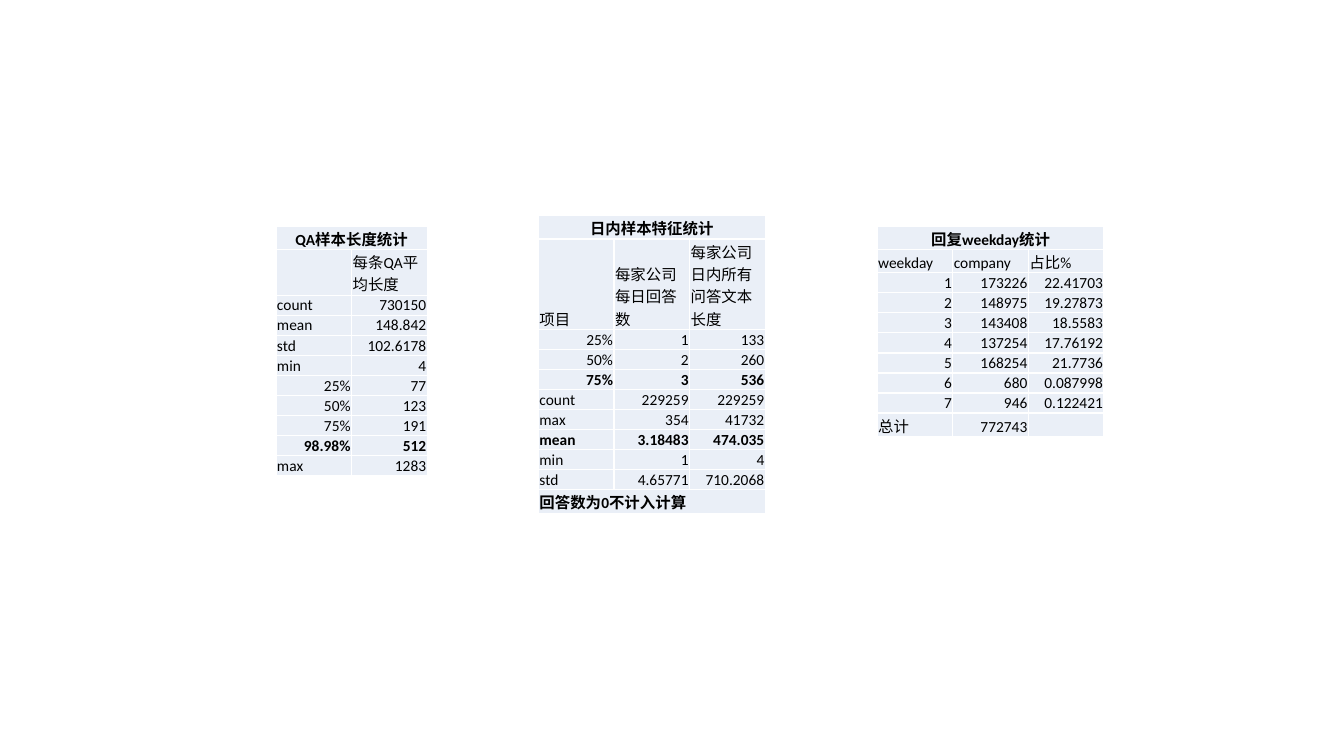
import dataclasses

import lxml.etree
import pptx
import pptx.dml.color
import pptx.enum.text
import pptx.oxml.ns
import pptx.table
import pptx.util

qn = pptx.oxml.ns.qn
Align = pptx.enum.text.PP_ALIGN
BLACK = pptx.dml.color.RGBColor(0x00, 0x00, 0x00)
WHITE = pptx.dml.color.RGBColor(0xFF, 0xFF, 0xFF)
PALE = pptx.dml.color.RGBColor(0xEA, 0xEF, 0xF7)

# Grid units
COL = pptx.util.Inches(0.75)
ROW = pptx.util.Inches(0.19)
INSET = pptx.util.Inches(0.01)
SIZE = pptx.util.Pt(11)
EDGE = pptx.util.Pt(1)

CELL = {
    "vertical_anchor": pptx.enum.text.MSO_ANCHOR.BOTTOM,
    "margin_left": INSET,
    "margin_right": INSET,
    "margin_top": INSET,
    "margin_bottom": 0,
}
FONT = {"size": SIZE, "name": "Calibri"}


@dataclasses.dataclass
class Stats:
    """A table of figures; left in grid columns, top in grid rows."""
    left: float
    top: float
    title: str
    head: tuple[str, ...]
    rows: list[tuple[str, ...]]
    bold: tuple[str, ...] = ()
    note: str = ""


TABLES = [
    Stats(3.65, 11.8, "QA样本长度统计", ("", "每条QA平均长度"), [
        ("count", "730150"),
        ("mean", "148.842"),
        ("std", "102.6178"),
        ("min", "4"),
        ("25%", "77"),
        ("50%", "123"),
        ("75%", "191"),
        ("98.98%", "512"),
        ("max", "1283"),
    ], bold=("98.98%",)),
    Stats(7.12, 11.26, "日内样本特征统计",
          ("项目", "每家公司每日回答数", "每家公司日内所有问答文本长度"), [
        ("25%", "1", "133"),
        ("50%", "2", "260"),
        ("75%", "3", "536"),
        ("count", "229259", "229259"),
        ("max", "354", "41732"),
        ("mean", "3.18483", "474.035"),
        ("min", "1", "4"),
        ("std", "4.65771", "710.2068"),
    ], bold=("75%", "mean"), note="回答数为0不计入计算"),
    Stats(11.6, 11.8, "回复weekday统计", ("weekday", "company", "占比%"), [
        ("1", "173226", "22.41703"),
        ("2", "148975", "19.27873"),
        ("3", "143408", "18.5583"),
        ("4", "137254", "17.76192"),
        ("5", "168254", "21.7736"),
        ("6", "680", "0.087998"),
        ("7", "946", "0.122421"),
        ("总计", "772743", ""),
    ]),
]


def assign(target: object, values: dict) -> None:
    for name, value in values.items():
        setattr(target, name, value)


def edge(cell: pptx.table._Cell) -> None:
    """Draw a white line on each side of the cell."""
    props = cell._tc.get_or_add_tcPr()
    for side in ("lnL", "lnR", "lnT", "lnB"):
        line = lxml.etree.SubElement(props, qn(f"a:{side}"), w=str(EDGE))
        fill = lxml.etree.SubElement(line, qn("a:solidFill"))
        lxml.etree.SubElement(fill, qn("a:srgbClr"), val=str(WHITE))


def write(cell: pptx.table._Cell, text: str, align: Align, bold: bool) -> None:
    para = cell.text_frame.paragraphs[0]
    para.alignment = align
    if not text:  # An empty cell keeps the small line height
        lxml.etree.SubElement(para._p, qn("a:endParaRPr"),
                              sz=str(int(SIZE.pt * 100)))
        return
    run = para.add_run()
    run.text = text
    assign(run.font, FONT | {"bold": bold})
    run.font.color.rgb = BLACK


def side(text: str) -> Align:
    """Figures stand on the right, words on the left."""
    return Align.RIGHT if text[:1].isdigit() else Align.LEFT


def draw(slide: pptx.slide.Slide, stats: Stats) -> None:
    width = len(stats.head)
    wide = (stats.title, stats.note)
    lines = [(stats.title,), stats.head, *stats.rows]
    if stats.note:
        lines.append((stats.note,))
    table = slide.shapes.add_table(
        len(lines), width, int(stats.left * COL), int(stats.top * ROW),
        width * COL, len(lines) * ROW).table
    assign(table, {"first_row": False, "horz_banding": False})
    for col in table.columns:
        col.width = COL
    for y, line in enumerate(lines):
        table.rows[y].height = ROW
        for x in range(width):
            cell = table.cell(y, x)
            edge(cell)
            cell.fill.solid()
            cell.fill.fore_color.rgb = PALE
            assign(cell, CELL)
        if len(line) == 1:
            table.cell(y, 0).merge(table.cell(y, width - 1))
        bold = line[0] in stats.bold or len(line) == 1 and line[0] in wide
        for x, text in enumerate(line):
            align = Align.CENTER if y == 0 else side(text)
            write(table.cell(y, x), text, align, bold)


def main() -> None:
    deck = pptx.Presentation()
    deck.slide_width = pptx.util.Inches(13.33)
    deck.slide_height = pptx.util.Inches(7.5)
    slide = deck.slides.add_slide(deck.slide_layouts[6])
    for stats in TABLES:
        draw(slide, stats)
    deck.save("out.pptx")


if __name__ == "__main__":
    main()
